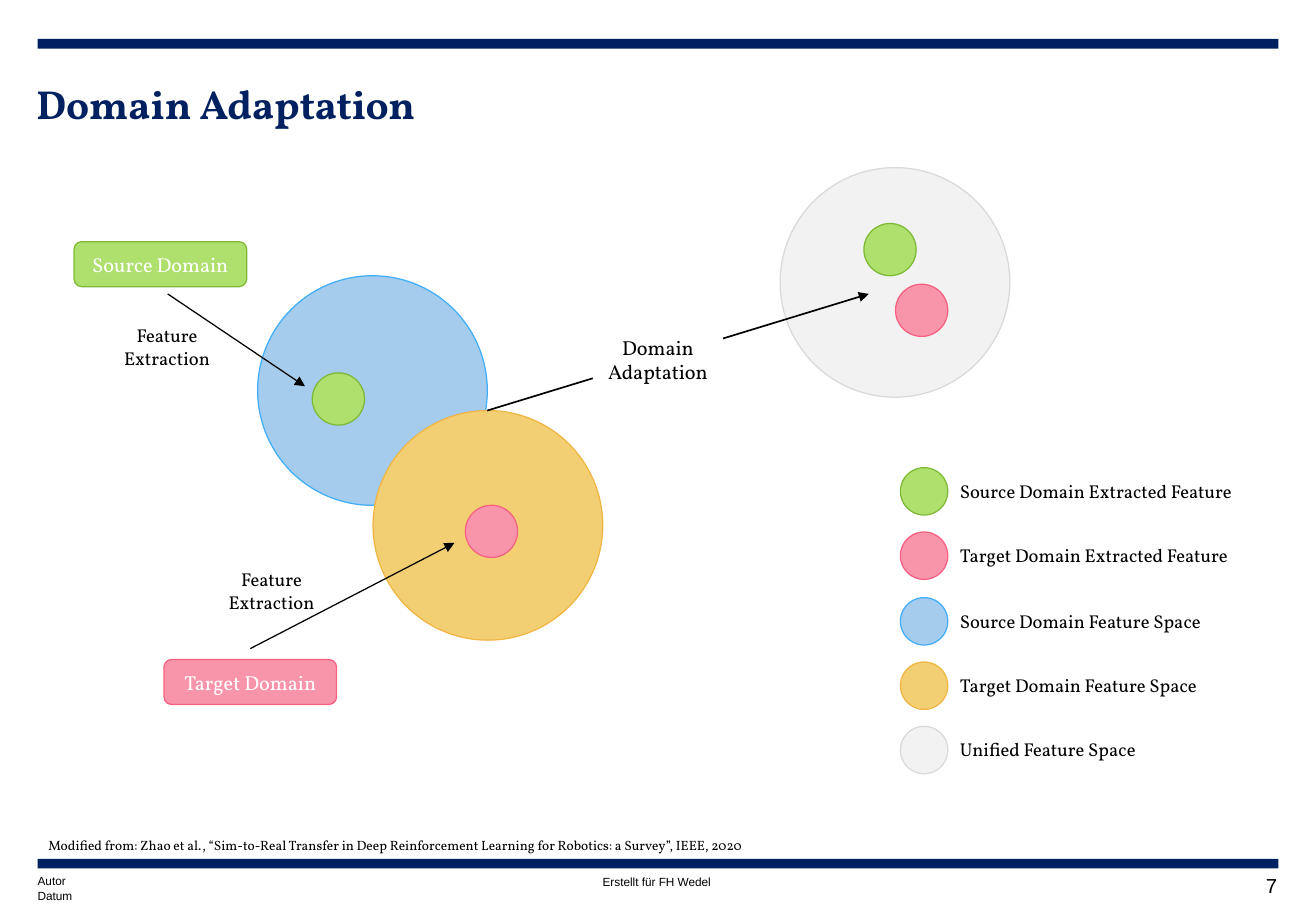
from pptx import Presentation
from pptx.dml.color import RGBColor
from pptx.enum.shapes import MSO_CONNECTOR, MSO_SHAPE
from pptx.enum.text import MSO_ANCHOR, MSO_AUTO_SIZE, PP_ALIGN
from pptx.oxml.ns import qn
from pptx.util import Pt
from lxml import etree

PX = 9144  # 100 px to the inch
RECT, ROUND, OVAL = MSO_SHAPE.RECTANGLE, MSO_SHAPE.ROUNDED_RECTANGLE, MSO_SHAPE.OVAL
LEFT, MID, RIGHT = PP_ALIGN.LEFT, PP_ALIGN.CENTER, PP_ALIGN.RIGHT
TOP, CENTER = MSO_ANCHOR.TOP, MSO_ANCHOR.MIDDLE
SERIF, SANS = "Vollkorn", "Arial"
COLORS = {
    "navy": "002060", "black": "000000", "white": "FFFFFF",
    "green": "AFE06E", "green line": "7DB935",
    "pink": "F995AB", "pink line": "F66081",
    "blue": "A5CCED", "blue line": "41AEF9",
    "gold": "F3CF74", "gold line": "EFB643",
    "gray": "F2F2F2", "gray line": "D9D9D9",
}
HUE = {name: RGBColor.from_string(code) for name, code in COLORS.items()}

deck = Presentation()
deck.slide_width, deck.slide_height = 1083 * PX, 750 * PX
slide = deck.slides.add_slide(deck.slide_layouts[5])
shapes = slide.shapes


def draw(kind, box, tone):
    shape = shapes.add_shape(kind, *[n * PX for n in box])
    shape.shadow.inherit = False
    shape.fill.solid()
    shape.fill.fore_color.rgb = HUE[tone]
    if tone + " line" in HUE:
        shape.line.color.rgb = HUE[tone + " line"]
        shape.line.width = Pt(0.75)
    else:
        shape.line.fill.background()
    return shape


def write(shape, text, size, tone="black", font=SERIF, align=LEFT,
          anchor=TOP, pad=(10, 5), wrap=True):
    frame = shape.text_frame
    frame.auto_size = MSO_AUTO_SIZE.NONE
    frame.word_wrap = wrap
    frame.vertical_anchor = anchor
    frame.margin_left = frame.margin_right = pad[0] * PX
    frame.margin_top = frame.margin_bottom = pad[1] * PX
    para = frame.paragraphs[0]
    para.alignment = align
    run = para.add_run()
    run.text = text
    run.font.size = Pt(size)
    run.font.name = font
    run.font.color.rgb = HUE[tone]
    return run


# Bars at top and bottom
for top in (32, 707):
    draw(RECT, (31, top, 1021, 8), "navy")

# Title
title = shapes.title
title.left, title.top, title.width, title.height = [n * PX for n in (30, 65, 1021, 78)]
write(title, "Domain Adaptation", 24, "navy", pad=(0, 0)).font.bold = True

# Footer
for text, box, size, align, wrap in (
    ("Erstellt für FH Wedel", (496, 720, 91, 12), 7, LEFT, False),
    ("Autor", (31, 719, 185, 12), 7, LEFT, True),
    ("Datum", (31, 732, 86, 12), 7, LEFT, False),
    ("7", (992, 719, 59, 20), 12, RIGHT, True),
):
    note = shapes.add_textbox(*[n * PX for n in box])
    write(note, text, size, font=SANS, align=align, pad=(0, 0), wrap=wrap)

# Feature spaces and the features in them
for left, top, size, tone in (
    (642, 138, 189, "gray"), (711, 184, 43, "green"), (737, 234, 43, "pink"),
    (212, 227, 189, "blue"), (257, 307, 43, "green"),
    (307, 338, 189, "gold"), (383, 416, 43, "pink"),
):
    draw(OVAL, (left, top, size, size), tone)

# Arrows
for ends, width in (
    ((401, 338, 715, 242), 1),
    ((138, 242, 251, 318), 0.75),
    ((206, 534, 374, 447), 0.75),
):
    arrow = shapes.add_connector(MSO_CONNECTOR.STRAIGHT, *[n * PX for n in ends])
    arrow.line.color.rgb = HUE["black"]
    arrow.line.width = Pt(width)
    props = arrow.element.spPr
    etree.SubElement(props.find(qn("a:ln")), qn("a:tailEnd"), type="triangle")
    etree.SubElement(props, qn("a:effectLst"))

# Label that interrupts the long arrow
gap = draw(RECT, (488, 271, 107, 51), "white")
write(gap, "Domain Adaptation", 12, align=MID)

# Domains
for text, left, top, tone in (
    ("Source Domain", 61, 199, "green"), ("Target Domain", 135, 543, "pink"),
):
    domain = draw(ROUND, (left, top, 142, 37), tone)
    write(domain, text, 12, "white", align=MID, anchor=CENTER)

# Arrow labels
for left, top in ((84, 262), (170, 463)):
    label = shapes.add_textbox(left * PX, top * PX, 107 * PX, 47 * PX)
    write(label, "Feature Extraction", 11, align=MID)

# Legend
for i, (tone, text) in enumerate((
    ("green", "Source Domain Extracted Feature"),
    ("pink", "Target Domain Extracted Feature"),
    ("blue", "Source Domain Feature Space"),
    ("gold", "Target Domain Feature Space"),
    ("gray", "Unified Feature Space"),
)):
    top = 385 + round(53.3 * i)
    draw(OVAL, (741, top, 39, 39), tone)
    entry = shapes.add_textbox(780 * PX, (top + 5) * PX, 259 * PX, 29 * PX)
    write(entry, text, 11)

# Citation
cite = shapes.add_textbox(30 * PX, 684 * PX, 920 * PX, 24 * PX)
write(cite, "Modified from: Zhao et al., “Sim-to-Real Transfer in Deep Reinforcement "
            "Learning for Robotics: a Survey”, IEEE, 2020", 8)

deck.save("out.pptx")
